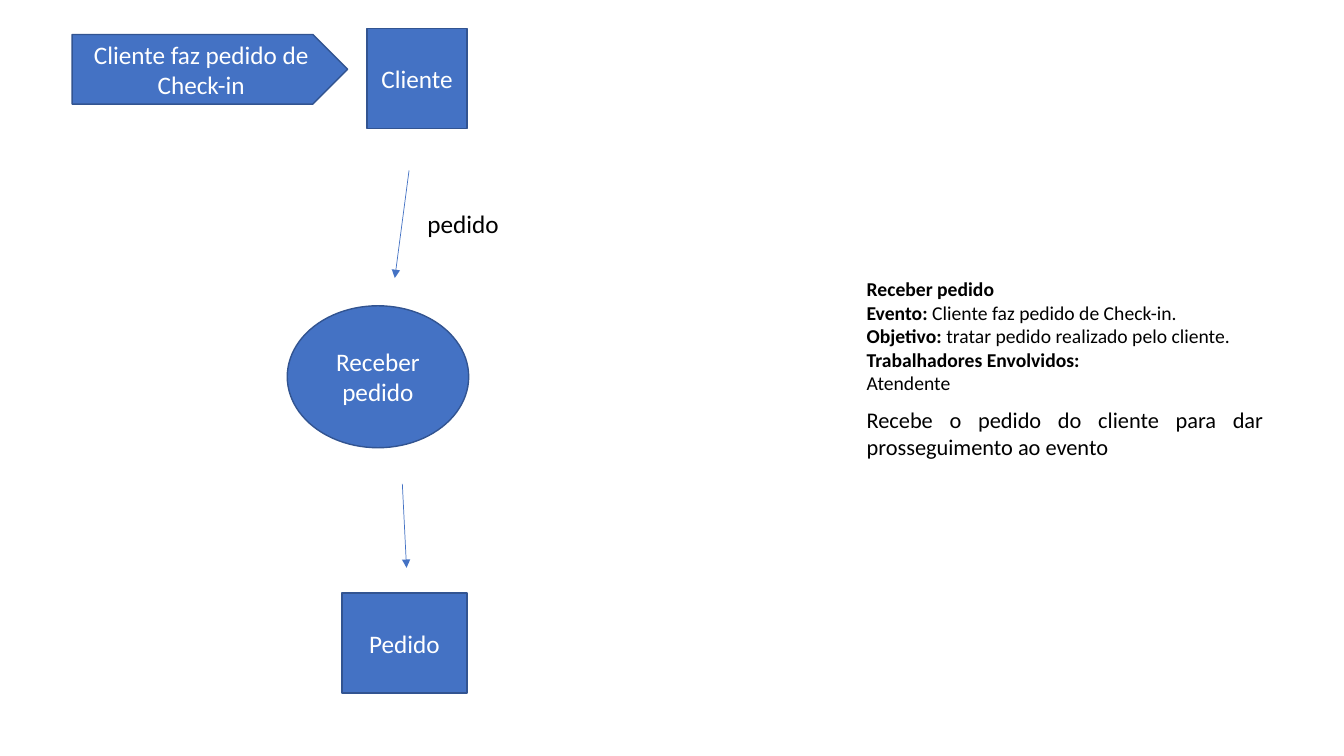
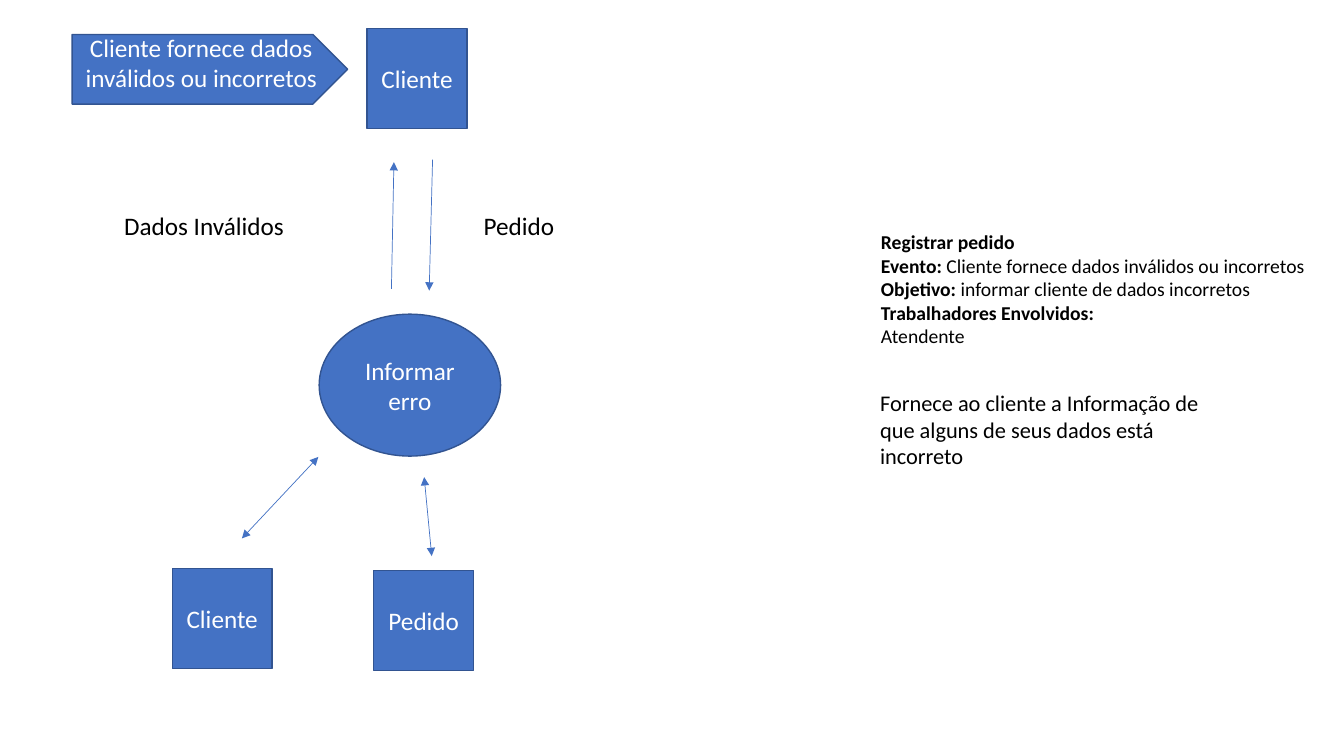
from lxml import etree
from pptx import Presentation, util as u
from pptx.dml.color import RGBColor as Rgb
from pptx.enum import shapes, text
from pptx.oxml import ns

THEME = {
    "font": "Calibri",
    "fill": Rgb(0x44, 0x72, 0xC4),
    "edge": Rgb(0x32, 0x54, 0x91),
    "light": Rgb(255, 255, 255),
    "dark": Rgb(0, 0, 0),
    "main": 18, "body": 16, "note": 14,
}
COLS, ROWS = 160, 90
KIND, ALIGN = shapes.MSO_SHAPE, text.PP_ALIGN
BOX, OVAL, PLATE = KIND.RECTANGLE, KIND.OVAL, KIND.PENTAGON
SIDE = 11.9            # edge of a square box, in cells
OVAL_SIZE = (21.6, 16.9)

deck = Presentation()
deck.slide_width, deck.slide_height = u.Inches(13.333), u.Inches(7.5)
CELL_W, CELL_H = deck.slide_width / COLS, deck.slide_height / ROWS


def grid(*cells):
    """Turn alternating columns and rows into slide lengths."""
    return [u.Emu(round(n * (CELL_H if i % 2 else CELL_W)))
            for i, n in enumerate(cells)]


def write(frame, lines, size, ink, align):
    """Fill a frame with lines, each a list of (words, bold) runs."""
    frame.word_wrap = True
    for i, line in enumerate(lines):
        par = frame.add_paragraph() if i else frame.paragraphs[0]
        par.alignment = align
        for words, bold in line:
            run = par.add_run()
            run.text = words
            style = {"name": THEME["font"], "size": u.Pt(size), "bold": bold}
            for key, value in style.items():
                setattr(run.font, key, value)
            run.font.color.rgb = ink


# Nodes: kind, place, words. Arrows: from, to, double-headed.
# Labels: place, size, alignment, words. Notes: place, (heading, text) rows.
SLIDES = [
    {
        "event": "Cliente faz pedido de Check-in",
        "lift": 0,
        "nodes": [
            (OVAL, (34.2, 36.4, *OVAL_SIZE), "Receber pedido"),
            (BOX, (40.7, 70.6, 14.9, SIDE), "Pedido"),
        ],
        "arrows": [
            ((48.7, 20.3), (47, 33.1), False),
            ((47.9, 57.6), (48.4, 67.6), False),
        ],
        "labels": [
            ((49.7, 24.2, 23.4, 4.8), "main", ALIGN.LEFT, "pedido"),
            ((102, 47.8, 49.6, 7.7), "body", ALIGN.JUSTIFY,
             "Recebe o pedido do cliente para dar prosseguimento ao evento"),
        ],
        "place": (102, 32.4, 58, 15.4),
        "notes": [
            ("Receber pedido", ""),
            ("Evento:", " Cliente faz pedido de Check-in."),
            ("Objetivo:", " tratar pedido realizado pelo cliente."),
        ],
    },
    {
        "event": "Cliente fornece dados inválidos ou incorretos",
        "lift": 1.6,
        "nodes": [
            (OVAL, (38, 37.4, *OVAL_SIZE), "Informar erro"),
            (BOX, (44.5, 67.9, SIDE, SIDE), "Pedido"),
            (BOX, (20.5, 67.7, SIDE, SIDE), "Cliente"),
        ],
        "arrows": [
            ((46.6, 34.4), (46.9, 19.3), False),
            ((51.5, 19), (51.1, 34.6), False),
            ((37.9, 54.4), (28.8, 64.1), True),
            ((50.5, 56.8), (51.4, 66.2), True),
        ],
        "labels": [
            ((13.6, 24.4, 30.5, 4.8), "main", ALIGN.LEFT, "Dados Inválidos"),
            ((56.4, 24.5, 12.4, 4.8), "main", ALIGN.LEFT, "Pedido"),
            ((103.6, 45.7, 44.9, 14.2), "body", ALIGN.LEFT,
             "Fornece ao cliente a Informação de que alguns de seus dados "
             "está incorreto"),
        ],
        "place": (103.7, 26.8, 56, 15.4),
        "notes": [
            ("Registrar pedido", ""),
            ("Evento:", " Cliente fornece dados inválidos ou incorretos"),
            ("Objetivo:", " informar cliente de dados incorretos"),
        ],
    },
]
CREW = [("Trabalhadores Envolvidos:", ""), ("", "Atendente")]

for data in SLIDES:
    slide = deck.slides.add_slide(deck.slide_layouts[6])
    top = [
        (BOX, (43.7, 3.4, SIDE, SIDE), "Cliente"),
        (PLATE, (8.6, 4.1, 32.8, 8.3), data["event"]),
    ]
    for kind, place, words in top + data["nodes"]:
        node = slide.shapes.add_shape(kind, *grid(*place))
        node.shadow.inherit = False
        node.fill.solid()
        node.fill.fore_color.rgb = THEME["fill"]
        node.line.color.rgb = THEME["edge"]
        node.line.width = u.Pt(1)
        frame = node.text_frame
        frame.vertical_anchor = text.MSO_ANCHOR.MIDDLE
        if kind == PLATE:
            frame.margin_bottom += grid(0, data["lift"])[1]
        write(frame, [[(words, False)]], THEME["main"], THEME["light"],
              ALIGN.CENTER)

    for start, end, double in data["arrows"]:
        arrow = slide.shapes.add_connector(
            shapes.MSO_CONNECTOR.STRAIGHT, *grid(*start, *end))
        arrow.line.color.rgb = THEME["fill"]
        arrow.line.width = u.Pt(0.5)
        props = arrow._element.spPr
        line = props.find(ns.qn("a:ln"))
        for tip in ("a:headEnd", "a:tailEnd")[0 if double else 1:]:
            etree.SubElement(line, ns.qn(tip), type="triangle")
        etree.SubElement(props, ns.qn("a:effectLst"))

    for place, size, align, words in data["labels"]:
        label = slide.shapes.add_textbox(*grid(*place))
        write(label.text_frame, [[(words, False)]], THEME[size],
              THEME["dark"], align)

    notes = slide.shapes.add_textbox(*grid(*data["place"]))
    lines = [[(words, bold) for words, bold in zip(row, (True, False)) if words]
             for row in data["notes"] + CREW]
    write(notes.text_frame, lines, THEME["note"], THEME["dark"], ALIGN.JUSTIFY)

deck.save("out.pptx")
